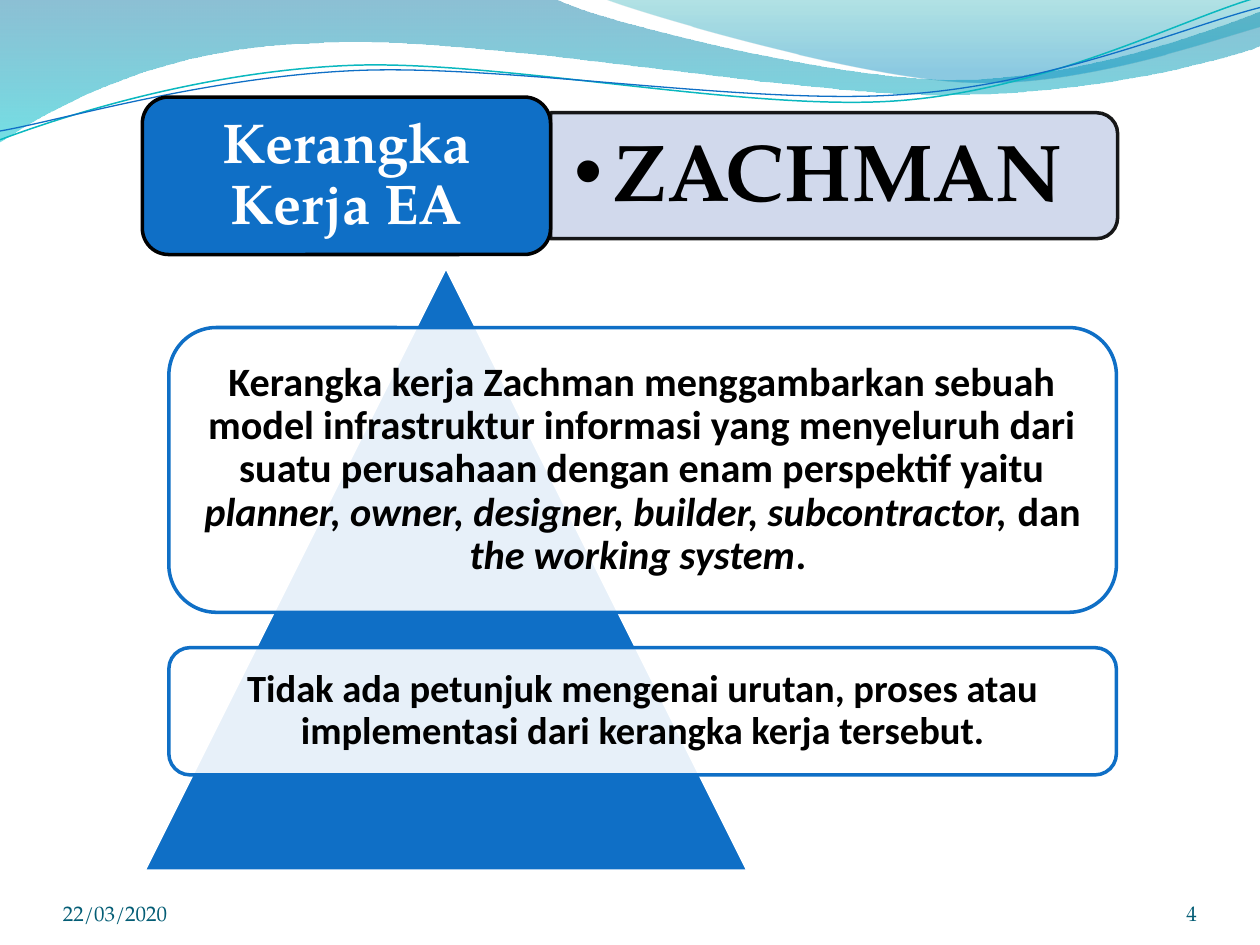
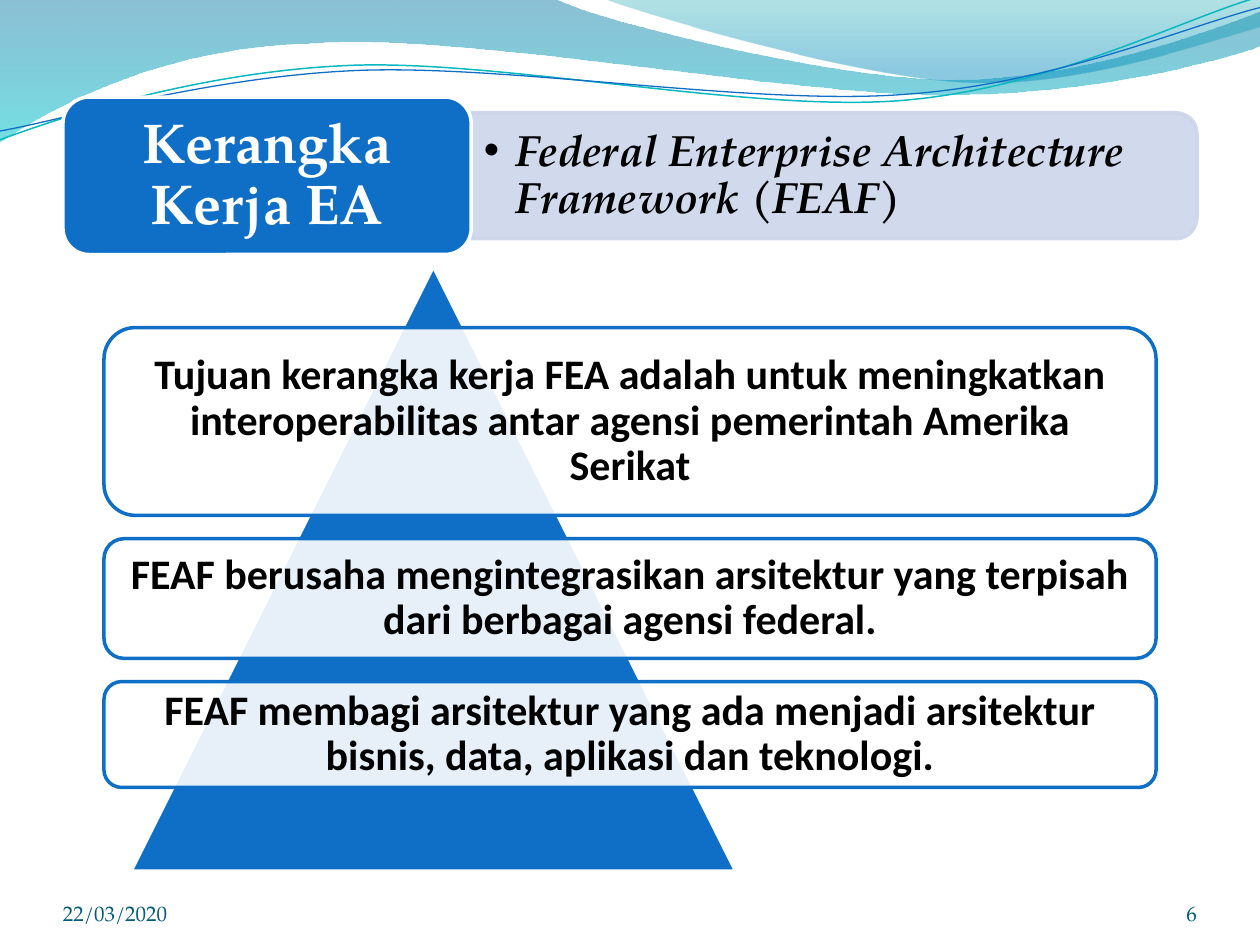
"""Build two slides on enterprise architecture frameworks."""
from lxml.etree import SubElement
from pptx import Presentation
from pptx.dml.color import RGBColor
from pptx.enum.shapes import MSO_SHAPE as SHAPE
from pptx.enum.text import MSO_ANCHOR as ANCHOR, MSO_AUTO_SIZE as AUTO, PP_ALIGN as ALIGN
from pptx.oxml.ns import qn
from pptx.util import Inches, Pt

COLS, ROWS = 100, 75
BLUE, PALE, WHITE, BLACK, TEAL = "0F6FC6", "CCD5EA", "FFFFFF", "000000", "045D75"
SERIF, SANS = "TeX Gyre Pagella", "Calibri"

BANDS = [
    ([(0, 0), (44, -0.1), (47.6, 1.7, 66.4, 6.3, 75.8, 6.3), (85.3, 6.3, 95.8, 2.6, 100, 0.9),
      (100.1, 3.6), (98.3, 4.4, 87, 7.6, 74.6, 7.5), (62.2, 7.5, 38.2, 2.8, 25.7, 3.4),
      (12.9, 3.6, 4.6, 8.3, -0.1, 11.3)],
     [(0, "0074A1"), (1, "00C6CF")], (45, 55)),
    ([(47.9, -0.1), (50.9, 1.1, 68.2, 6.2, 76.9, 6.5), (85.6, 6.9, 96.1, 3.2, 100, 2.1), (100, 0)],
     [(0, "00A1A9"), (0.8, "008BBF")], (30, 45)),
]
WAVES = [
    ([(0, 11.1), (4.8, 9.3, 15.8, 5.7, 27.7, 5.2), (39.5, 4.7, 59.3, 8.9, 71.3, 8),
      (83.3, 7.1, 93.8, 1.5, 99.8, -0.2)], "0AB8BF", 0.85),
    ([(0, 10.4), (4.7, 9.6, 16.4, 6.1, 28.3, 5.6), (40.3, 5.1, 59.7, 8.4, 71.7, 7.5),
      (83.6, 6.7, 94.1, 2.1, 100, 0.6)], BLUE, 0.75),
]
SLIDES = [
    dict(number="4", left=11.3, width=77.4, title_line=BLACK, panel_line=BLACK, indent=0.31,
         pad=(1.9, 1), topic=("ZACHMAN", False), topic_size=46, triangle=11.4,
         card_left=13.4, card_width=75.2, gap=2.8, cards=[
             (22.6, 23, [("Kerangka kerja Zachman menggambarkan sebuah model infrastruktur "
                          "informasi yang menyeluruh dari suatu perusahaan dengan enam "
                          "perspektif yaitu ", False),
                         ("planner, owner, designer, builder, subcontractor,", True),
                         (" dan", False), (" the working system", True), (". ", False)]),
             (10.1, 22, [("Tidak ada petunjuk mengenai urutan, proses atau implementasi dari "
                          "kerangka kerja tersebut.", False)])]),
    dict(number="6", left=5, width=90, title_line=WHITE, panel_line=PALE, indent=0.25,
         pad=(1, 0.5), topic=("Federal Enterprise Architecture Framework (FEAF)", True),
         topic_size=25, triangle=10.4, card_left=8.25, card_width=83.5, gap=1.85, cards=[
             (14.9, 24, [("Tujuan kerangka kerja FEA adalah untuk meningkatkan "
                          "interoperabilitas antar agensi pemerintah Amerika Serikat", False)]),
             (9.5, 24, [("FEAF berusaha mengintegrasikan arsitektur yang terpisah dari "
                         "berbagai agensi federal.", False)]),
             (8.4, 24, [("FEAF membagi arsitektur yang ada menjadi arsitektur bisnis, data, "
                         "aplikasi dan teknologi.", False)])]),
]


def rgb(value):
    return RGBColor.from_string(value)


def assign(obj, **formats):
    for name, value in formats.items():
        setattr(obj, name, value)


def fade(sp, *opacities):
    for clr, opacity in zip(list(sp.element.spPr.iter(qn("a:srgbClr"))), opacities):
        SubElement(clr, qn("a:alpha"), val=str(opacity * 1000))


class Deck:
    def __init__(self):
        self.prs = Presentation()
        assign(self.prs, slide_width=Inches(10), slide_height=Inches(7.5))
        self.slide = None

    def x(self, cols):
        return round(self.prs.slide_width * cols / COLS)

    def y(self, rows):
        return round(self.prs.slide_height * rows / ROWS)

    def box(self, left, top, width, height):
        return self.x(left), self.y(top), self.x(width), self.y(height)

    def new_slide(self):
        self.slide = self.prs.slides.add_slide(self.prs.slide_layouts[1])

    def style(self, sp, fill=None, line=None, weight=2):
        sp.shadow.inherit = False
        for paint, color in ((sp.fill, fill), (sp.line.fill, line)):
            if color:
                paint.solid()
                paint.fore_color.rgb = rgb(color)
            else:
                paint.background()
        if line:
            sp.line.width = Pt(weight)
        return sp

    def shape(self, kind, at, fill, line):
        return self.style(self.slide.shapes.add_shape(kind, *self.box(*at)), fill, line)

    def curve(self, segments, close):
        points = [(self.x(seg[i]), self.y(seg[i + 1]))
                  for seg in segments for i in range(0, len(seg), 2)]
        builder = self.slide.shapes.build_freeform(*points[0], scale=1.0)
        builder.add_line_segments(points[1:], close=close)
        sp = builder.convert_to_shape()
        lines = iter(list(sp.element.iter(qn("a:lnTo"))))
        for seg in segments[1:]:
            first = next(lines)
            if len(seg) == 6:
                bezier = first.makeelement(qn("a:cubicBezTo"))
                first.addprevious(bezier)
                for line in (first, next(lines), next(lines)):
                    bezier.append(line[0])
                    line.getparent().remove(line)
        return self.style(sp)

    def backdrop(self):
        curves = []
        for segments, stops, opacities in BANDS:
            sp = self.curve(segments, True)
            sp.fill.gradient()
            sp.fill.gradient_angle = 270
            for stop, (position, color) in zip(sp.fill.gradient_stops, stops):
                stop.position = position
                stop.color.rgb = rgb(color)
            fade(sp, *opacities)
            curves.append(sp)
        for segments, color, weight in WAVES:
            curves.append(self.style(self.curve(segments, False), None, color, weight))
        for i, sp in enumerate(curves):
            sp.element.nvSpPr.cNvPr.set("id", str(100 + i))
            self.prs.slide_master.shapes.element.insert(2 + i, sp.element)

    def text(self, sp, runs, size, color, font=SERIF, bold=True, align=ALIGN.CENTER,
             anchor=ANCHOR.MIDDLE, pad=(0, 0), spacing=0.9, indent=None):
        tf = sp.text_frame
        assign(tf, word_wrap=True, auto_size=AUTO.NONE, vertical_anchor=anchor,
               margin_left=self.x(pad[0]), margin_right=self.x(pad[0]),
               margin_top=self.y(pad[1]), margin_bottom=self.y(pad[1]))
        p = tf.paragraphs[0]
        if indent:
            p.level = 1
            pPr = p._p.get_or_add_pPr()
            pPr.set("marL", str(Inches(indent)))
            pPr.set("indent", str(-Inches(indent)))
            SubElement(pPr, qn("a:buChar"), char="•")
        assign(p, alignment=align, line_spacing=spacing, space_before=Pt(0))
        for words, italic in runs:
            r = p.add_run()
            r.text = words
            assign(r.font, name=font, size=Pt(size), bold=bold, italic=italic)
            r.font.color.rgb = rgb(color)

    def placeholder(self, index, at, runs, size, color, **formats):
        sp = self.slide.placeholders[index]
        left, top, width, height = self.box(*at)
        assign(sp, left=left, top=top, width=width, height=height)
        self.slide.shapes.element.append(sp.element)
        self.text(sp, runs, size, color, **formats)

    def header(self, left, width, title_line, panel_line, topic, size, indent, pad):
        title_width, panel_height = 32.4, 10
        panel_left, panel_width = left + title_width, width - title_width
        center = panel_left + panel_width / 2
        sp = self.shape(SHAPE.ROUND_2_SAME_RECTANGLE,
                        (center - panel_height / 2, 13.95 - panel_width / 2,
                         panel_height, panel_width), PALE, panel_line)
        sp.rotation = 90
        fade(sp, 90, 90)
        self.placeholder(1, (panel_left, 9.45, panel_width - 0.5, 9), [topic], size, BLACK,
                         align=ALIGN.LEFT, pad=pad, indent=indent)
        self.shape(SHAPE.ROUNDED_RECTANGLE, (left, 7.7, title_width, 12.5), BLUE, title_line)
        self.placeholder(0, (left + 0.6, 8.3, title_width - 1.2, 11.3),
                         [("Kerangka Kerja EA", False)], 32, WHITE, pad=(1.3, 0.7))

    def pyramid(self, left, card_left, card_width, gap, cards):
        self.shape(SHAPE.ISOSCELES_TRIANGLE, (left, 21.15, 48, 48), BLUE, WHITE)
        top = 26
        for height, size, runs in cards:
            sp = self.shape(SHAPE.ROUNDED_RECTANGLE, (card_left, top, card_width, height),
                            WHITE, BLUE)
            fade(sp, 90)
            self.text(sp, runs, size, BLACK, font=SANS, pad=(1, 1))
            top += height + gap

    def footer(self, number):
        for left, width, words, align in ((5, 23.3, "22/03/2020", ALIGN.LEFT),
                                          (86.7, 8.3, number, ALIGN.RIGHT)):
            sp = self.slide.shapes.add_textbox(*self.box(left, 69.5, width, 4))
            self.text(sp, [(words, False)], 12, TEAL, bold=False, align=align,
                      anchor=ANCHOR.BOTTOM, spacing=1.0)


def main():
    deck = Deck()
    for i, s in enumerate(SLIDES):
        deck.new_slide()
        if i == 0:
            deck.backdrop()
        deck.header(s["left"], s["width"], s["title_line"], s["panel_line"], s["topic"],
                    s["topic_size"], s["indent"], s["pad"])
        deck.pyramid(s["triangle"], s["card_left"], s["card_width"], s["gap"], s["cards"])
        deck.footer(s["number"])
    deck.prs.save("out.pptx")


if __name__ == "__main__":
    main()
